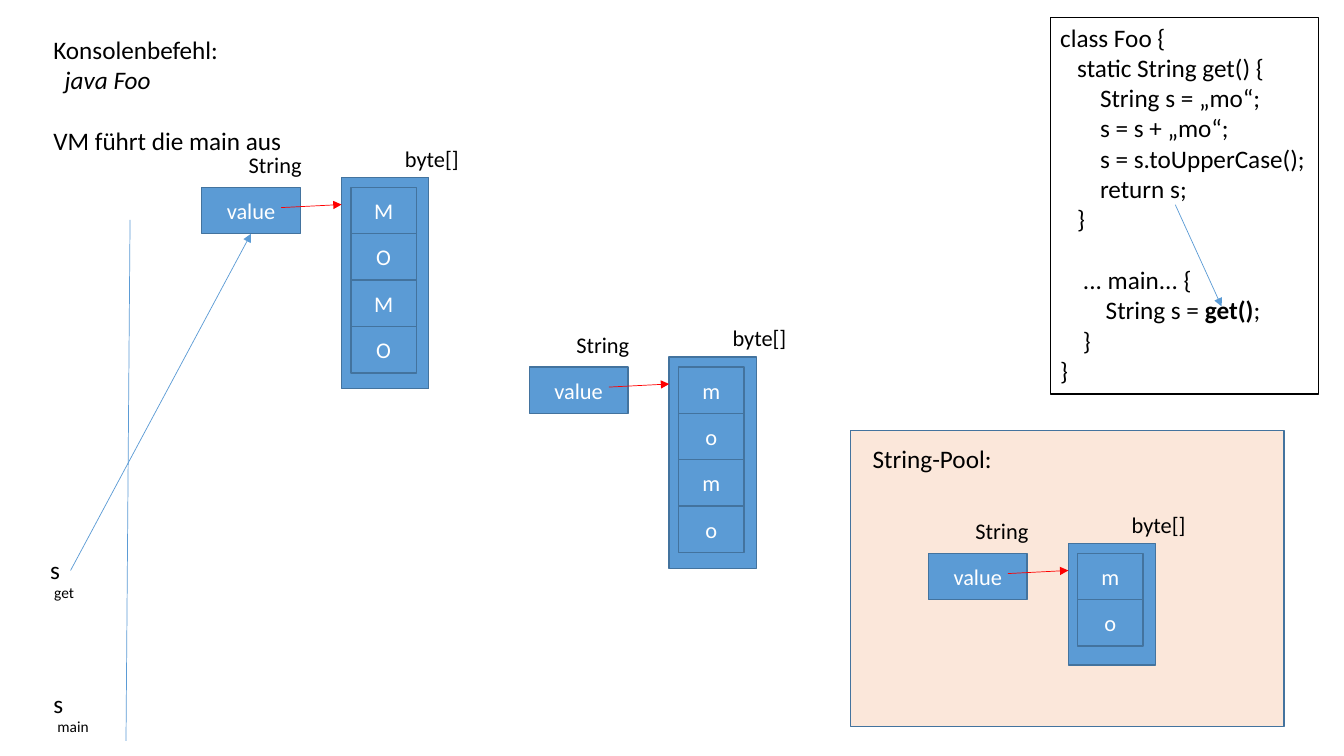
from dataclasses import dataclass

from lxml import etree
from pptx import Presentation
from pptx.dml.color import RGBColor
from pptx.enum.shapes import MSO_CONNECTOR, MSO_SHAPE
from pptx.enum.text import MSO_ANCHOR, PP_ALIGN
from pptx.oxml.ns import qn
from pptx.util import Pt

RECTANGLE = MSO_SHAPE.RECTANGLE
STRAIGHT = MSO_CONNECTOR.STRAIGHT
CENTER, LEFT = PP_ALIGN.CENTER, PP_ALIGN.LEFT
MIDDLE, TOP = MSO_ANCHOR.MIDDLE, MSO_ANCHOR.TOP


@dataclass(frozen=True)
class Theme:
    font: str = "Calibri"
    body: int = 18
    label: int = 16
    subscript: int = 11
    blank_line: int = 22
    indent_step: float = 4.07
    black: str = "000000"
    white: str = "FFFFFF"
    blue: str = "5B9BD5"
    dark_blue: str = "43739E"
    peach: str = "F8CBAD"
    red: str = "FF0000"


@dataclass(frozen=True)
class Line:
    text: str
    indent: int = 0
    blank_before: bool = False


class MemoryDiagram:
    CELL_HEIGHT = 33.12

    def __init__(self, slide, theme):
        self.shapes = slide.shapes
        self.theme = theme

    def style_run(self, run, size, color):
        run.font.name = self.theme.font
        run.font.size = Pt(size)
        run.font.color.rgb = RGBColor.from_string(color)

    def box(self, left, top, width, height, text="", fill=None, opacity=100):
        box = self.shapes.add_shape(RECTANGLE, Pt(left), Pt(top), Pt(width), Pt(height))
        box.shadow.inherit = False
        box.fill.solid()
        box.fill.fore_color.rgb = RGBColor.from_string(fill or self.theme.blue)
        box.line.color.rgb = RGBColor.from_string(self.theme.dark_blue)
        box.line.width = Pt(1)
        if opacity < 100:
            color = box._element.spPr.find(qn("a:solidFill")).find(qn("a:srgbClr"))
            etree.SubElement(color, qn("a:alpha"), val=str(opacity * 1000))
        if text:
            frame = box.text_frame
            frame.text = text
            frame.vertical_anchor = MIDDLE
            frame.paragraphs[0].alignment = CENTER
            self.style_run(frame.paragraphs[0].runs[0], self.theme.label, self.theme.white)

    def text(self, left, top, width, height, lines, size, border=False):
        text = self.shapes.add_textbox(Pt(left), Pt(top), Pt(width), Pt(height))
        frame = text.text_frame
        frame.word_wrap = False
        frame.vertical_anchor = TOP
        frame.text = "\n".join(line.text for line in lines)
        for paragraph, line in zip(frame.paragraphs, lines):
            paragraph.alignment = LEFT
            if line.indent:
                margin = Pt(line.indent * self.theme.indent_step)
                paragraph._p.get_or_add_pPr().set("marL", str(margin))
            if line.blank_before:
                paragraph.space_before = Pt(self.theme.blank_line)
            self.style_run(paragraph.runs[0], size, self.theme.black)
        if border:
            text.line.color.rgb = RGBColor.from_string(self.theme.black)
            text.line.width = Pt(0.75)
        return frame

    def line(self, start, end, color=None, arrow=True):
        line = self.shapes.add_connector(STRAIGHT, *(Pt(v) for v in (*start, *end)))
        line.line.color.rgb = RGBColor.from_string(color or self.theme.blue)
        line.line.width = Pt(0.5)
        if arrow:
            etree.SubElement(line.line._get_or_add_ln(), qn("a:tailEnd"), type="triangle")
        etree.SubElement(line._element.spPr, qn("a:effectLst"))

    def string_object(self, left, top, characters):
        label = self.theme.label
        self.box(left + 100, top - 7.2, 62.3, 32 * len(characters) + 23)
        self.box(left, top, 70.6, self.CELL_HEIGHT, "value")
        self.text(left + 26.6, top - 29.2, 52.6, 26.6, [Line("String")], label)
        self.text(left + 138.2, top - 33.8, 53.3, 26.6, [Line("byte[]")], label)
        for index, character in enumerate(characters):
            cell_top = top + index * self.CELL_HEIGHT
            self.box(left + 106.6, cell_top, 46.8, self.CELL_HEIGHT, character)
        self.line((left + 56.9, top + 14.4), (left + 100, top + 12.2), self.theme.red)

    def variable(self, left, top, method, width):
        self.text(left, top, 21.6, 28.8, [Line("s")], self.theme.body)
        self.text(left + 2.9, top + 20.5, width, 20.9, [Line(method)], self.theme.subscript)


def main():
    presentation = Presentation()
    presentation.slide_width = Pt(960)
    presentation.slide_height = Pt(540)
    theme = Theme()
    slide = presentation.slides.add_slide(presentation.slide_layouts[6])
    diagram = MemoryDiagram(slide, theme)

    diagram.box(607.7, 307.4, 309.6, 211.7, fill=theme.peach, opacity=45)
    diagram.text(616.3, 313.2, 100, 28.8, [Line("String-Pool:")], theme.body)

    source_code = [
        Line("class Foo {"),
        Line("static String get() {", 3),
        Line("String s = „mo“;", 7),
        Line("s = s + „mo“;", 7),
        Line("s = s.toUpperCase();", 7),
        Line("return s;", 7),
        Line("}", 3),
        Line("... main... {", 4, True),
        Line("String s = ", 8),
        Line("}", 4),
        Line("}"),
    ]
    code = diagram.text(750.2, 12.2, 191.5, 269.3, source_code, theme.body, border=True)
    for part, bold in (("get()", True), (";", False)):
        call = code.paragraphs[8].add_run()
        call.text = part
        diagram.style_run(call, theme.body, theme.black)
        call.font.bold = bold

    command = [
        Line("Konsolenbefehl:"),
        Line("java Foo", 2),
        Line("VM führt die main aus", 0, True),
    ]
    console = diagram.text(31, 20.9, 179.3, 94.3, command, theme.body)
    console.paragraphs[1].runs[0].font.italic = True

    diagram.line((92.9, 157), (90, 529.2), arrow=False)
    diagram.variable(31, 488.2, "main", 36.7)
    diagram.variable(28.8, 392.4, "get", 28.8)

    for left, top, characters in (
        (663.1, 395.3, "mo"),
        (378, 262.1, "momo"),
        (144, 133.9, "MOMO"),
    ):
        diagram.string_object(left, top, characters)

    diagram.line((50.4, 407.5), (179.3, 167))
    diagram.line((839.5, 146.2), (872.6, 218.9))

    presentation.save("out.pptx")


if __name__ == "__main__":
    main()
